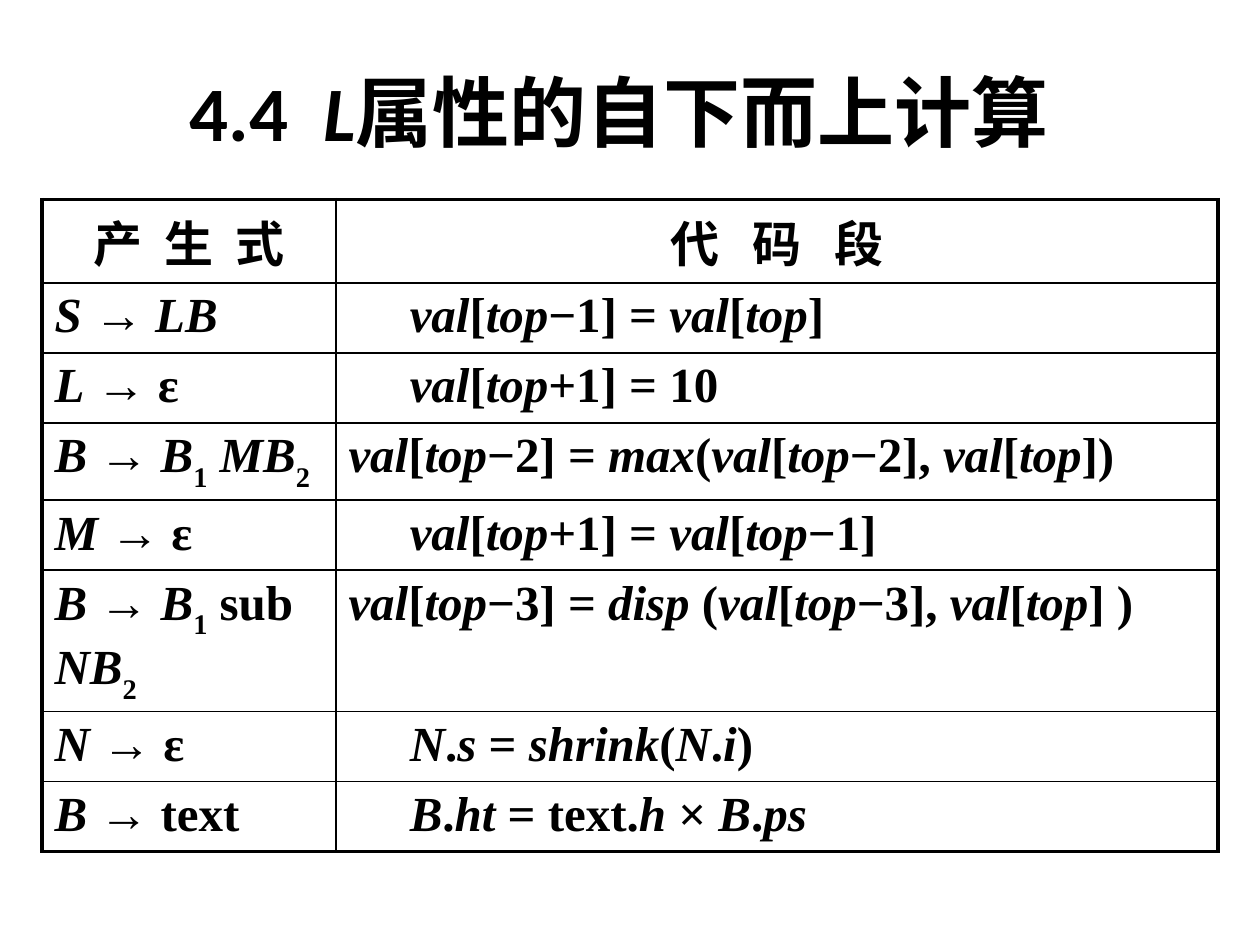
from lxml.etree import SubElement
from pptx import Presentation
from pptx.dml.color import RGBColor
from pptx.enum.text import MSO_ANCHOR, MSO_AUTO_SIZE, PP_ALIGN
from pptx.oxml import parse_xml
from pptx.oxml.ns import nsdecls, qn
from pptx.util import Pt

BLACK = "000000"
SERIF, SANS, CJK = "Times New Roman", "Calibri", "Noto Sans CJK SC"
INDENT = 35
MARGIN = 7.2
THICK, THIN = 2.25, 1

# *italic* and _subscript_; a True flag indents the code.
RULES = [
    ("*S* →* LB*", "*val*[*top*−1] = *val*[*top*]", True),
    ("*L* → ε", "*val*[*top*+1] = 10", True),
    ("*B* →* B*_1_* MB*_2_", "*val*[*top*−2] =* max*(*val*[*top*−2], *val*[*top*])", False),
    ("*M* → ε", "*val*[*top*+1] = *val*[*top*−1]", True),
    ("*B* →* B*_1_ sub* NB*_2_", "*val*[*top*−3] = *disp* (*val*[*top*−3], *val*[*top*] )", False),
    ("*N* → ε", "*N*.*s* = *shrink*(*N*.*i*)", True),
    ("*B* → text", "*B*.*ht* = text.*h* ×* B*.*ps*", True),
]


def color(code):
    return RGBColor.from_string(code)


def add_run(para, text, size, face, italic=False, east=None, gap=0):
    run = para.add_run()
    run.text = text
    font = run.font
    font.size, font.name = Pt(size), face
    font.bold, font.italic = True, italic
    font.color.rgb = color(BLACK)
    props = run._r.get_or_add_rPr()
    if east:
        SubElement(props, qn("a:ea"), typeface=east)
    if gap:
        props.set("spc", str(round(gap * 100)))
    return run


def add_marked(para, text, size, face):
    """Turn *italic* and _subscript_ marks into runs."""
    for i, part in enumerate(text.split("*")):
        for j, piece in enumerate(part.split("_")):
            if not piece:
                continue
            run = add_run(para, piece, size, face, italic=i % 2 == 1)
            if j % 2:
                run._r.get_or_add_rPr().set("baseline", "-30000")


def set_edges(cell, widths):
    """Draw left, right, top and bottom lines, given in that order."""
    props = cell._tc.get_or_add_tcPr()
    for i, (side, width) in enumerate(zip("LRTB", widths)):
        props.insert(i, parse_xml(
            f'<a:ln{side} {nsdecls("a")} w="{Pt(width)}"><a:solidFill>'
            f'<a:srgbClr val="{BLACK}"/></a:solidFill></a:ln{side}>'))


def add_title(slide, left, top, width, height):
    title = slide.shapes.title
    title.left, title.top = Pt(left), Pt(top)
    title.width, title.height = Pt(width), Pt(height)
    frame = title.text_frame
    frame.auto_size = MSO_AUTO_SIZE.NONE
    frame.vertical_anchor = MSO_ANCHOR.MIDDLE
    para = frame.paragraphs[0]
    para.alignment = PP_ALIGN.CENTER
    add_run(para, "4.4", 44, SANS)
    add_run(para, " ", 44, SANS, gap=10)
    add_run(para, "L", 44, SANS, italic=True)
    add_run(para, "属性的自下而上计算", 44, SANS, east=CJK)


def add_rules(slide, left, top, width, height):
    rows = len(RULES) + 1
    table = slide.shapes.add_table(
        rows, 2, Pt(left), Pt(top), Pt(width), Pt(height)).table
    table.first_row = table.horz_banding = False
    table.columns[0].width = Pt(width / 4)
    table.columns[1].width = Pt(width * 3 / 4)
    for row in table.rows:
        row.height = Pt(height / rows)

    for col, (head, gap) in enumerate([("产 生 式", 3.3), ("代 码 段", 6.3)]):
        para = table.cell(0, col).text_frame.paragraphs[0]
        para.alignment = PP_ALIGN.CENTER
        add_run(para, head, 28, CJK, east=CJK, gap=gap)

    for i, (rule, code, inset) in enumerate(RULES, 1):
        for col, text in enumerate((rule, code)):
            cell = table.cell(i, col)
            add_marked(cell.text_frame.paragraphs[0], text, 28, SERIF)
        if inset:
            cell.margin_left = Pt(MARGIN + INDENT)

    for i in range(rows):
        for col in range(2):
            cell = table.cell(i, col)
            cell.fill.background()
            outer = (col == 0, col == 1, i == 0, i == rows - 1)
            set_edges(cell, [THICK if edge else THIN for edge in outer])


def main():
    deck = Presentation()
    deck.slide_width, deck.slide_height = Pt(720), Pt(540)
    slide = deck.slides.add_slide(deck.slide_layouts[5])
    add_title(slide, 24, 18, 660, 90)
    add_rules(slide, 24, 114, 672, 320)
    deck.save("out.pptx")


if __name__ == "__main__":
    main()
